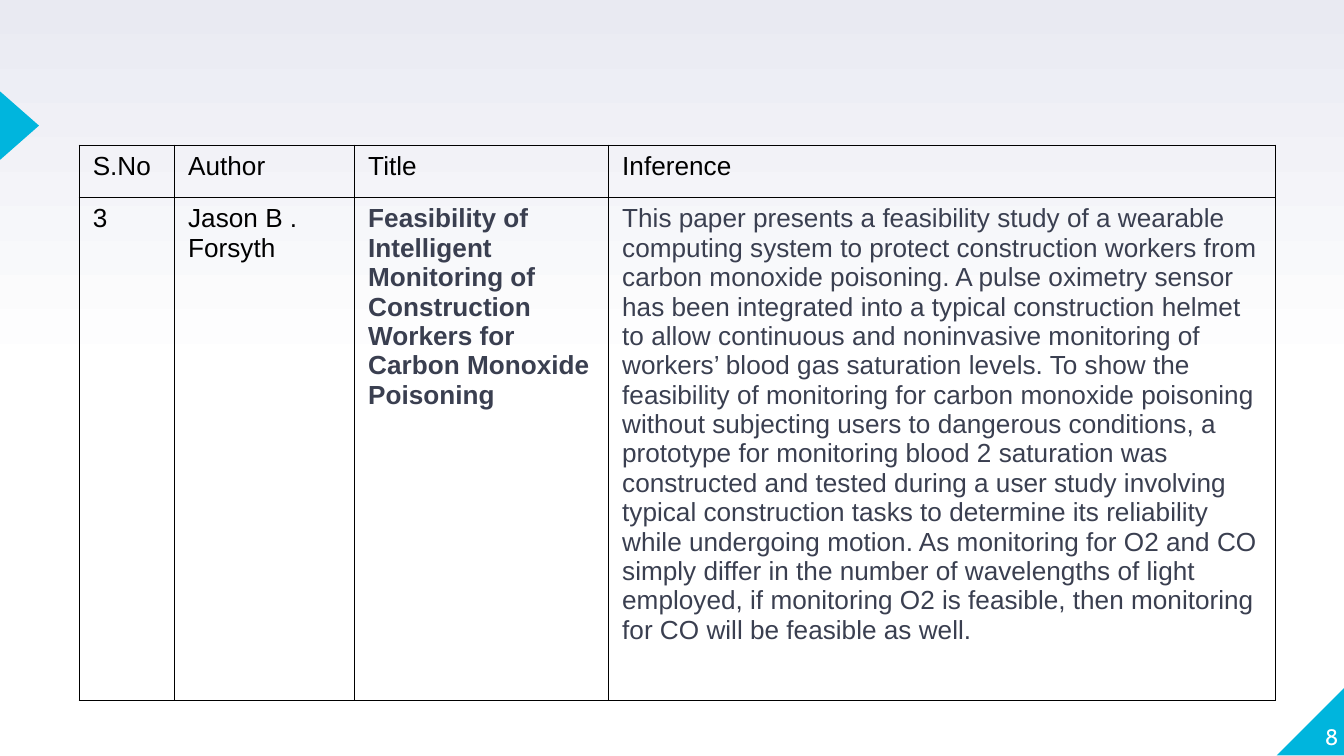
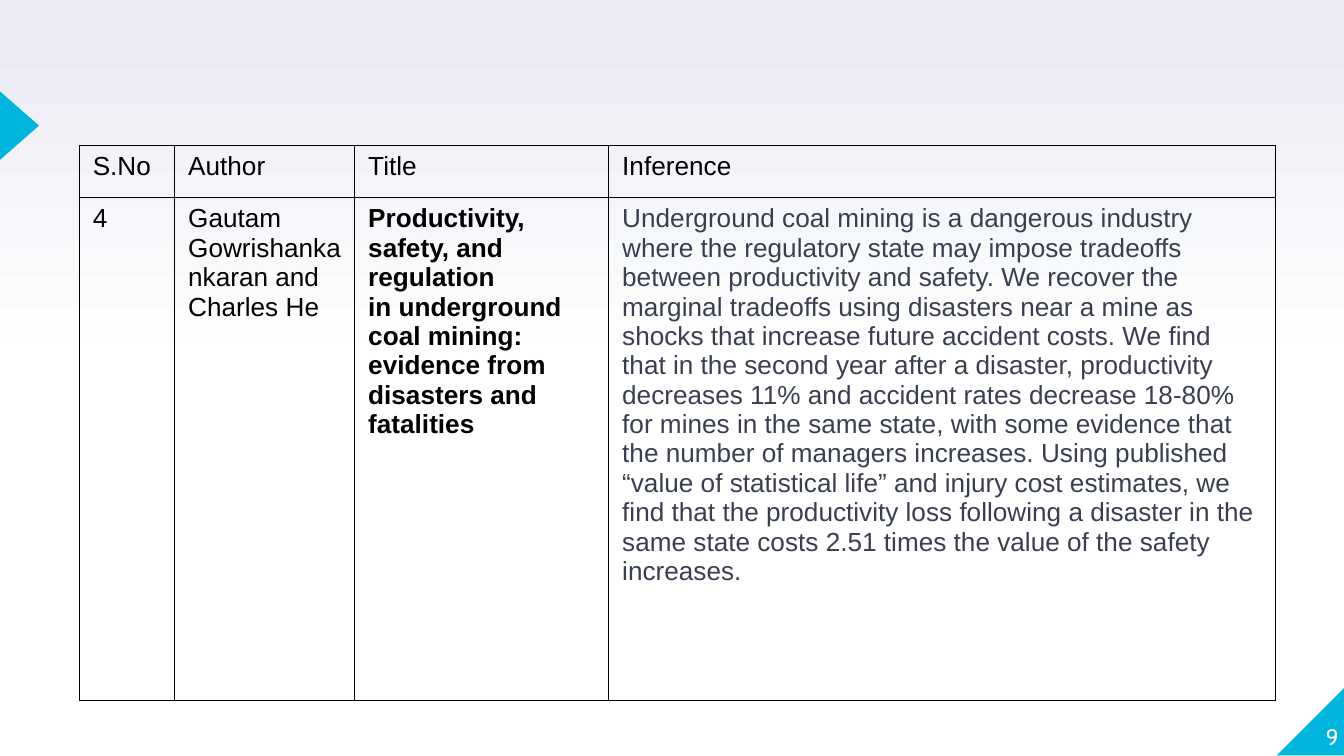
from copy import deepcopy

from lxml.etree import SubElement
from pptx import Presentation
from pptx.dml.color import RGBColor
from pptx.enum.shapes import MSO_SHAPE as Preset
from pptx.enum.text import MSO_ANCHOR as Anchor, PP_ALIGN as Align
from pptx.oxml import parse_xml
from pptx.oxml.ns import nsdecls, qn
from pptx.util import Inches, Pt

BLACK = RGBColor(0x00, 0x00, 0x00)
WHITE = RGBColor(0xFF, 0xFF, 0xFF)
SLATE = RGBColor(0x3A, 0x3F, 0x50)
CYAN = RGBColor(0x00, 0xB5, 0xDD)
LAVENDER = RGBColor(0xE9, 0xEA, 0xF2)

PAGE_WIDTH = Inches(10)
PAGE_HEIGHT = PAGE_WIDTH * 9 // 16

BODY = {"name": "Arial", "size": Pt(14), "bold": False}
NUMBER = {"name": "Cabin", "size": Pt(12)}
BORDER_WIDTH = Pt(0.75)

HEADINGS = ["S.No", "Author", "Title", "Inference"]
COLUMN_WIDTHS = [0.71, 1.34, 1.89, 4.96]
ROW_HEIGHTS = [0.39, 3.74]

PAPERS = [
    {
        "page": 8,
        "cells": [
            "3",
            "Jason B . Forsyth",
            "Feasibility of Intelligent Monitoring of Construction Workers "
            "for Carbon Monoxide Poisoning",
            "This paper presents a feasibility study of a wearable computing system "
            "to protect construction workers from carbon monoxide poisoning. A pulse "
            "oximetry sensor has been integrated into a typical construction helmet to "
            "allow continuous and noninvasive monitoring of workers’ blood gas "
            "saturation levels. To show the feasibility of monitoring for carbon "
            "monoxide poisoning without subjecting users to dangerous conditions, a "
            "prototype for monitoring blood 2 saturation was constructed and tested "
            "during a user study involving typical construction tasks to determine its "
            "reliability while undergoing motion. As monitoring for O2 and CO simply "
            "differ in the number of wavelengths of light employed, if monitoring O2 "
            "is feasible, then monitoring for CO will be feasible as well.",
        ],
        "title_color": SLATE,
    },
    {
        "page": 9,
        "cells": [
            "4",
            "Gautam Gowrishankankaran and Charles He",
            "Productivity, safety, and regulation\nin underground coal mining:\n"
            "evidence from disasters and\nfatalities",
            "Underground coal mining is a dangerous industry where the regulatory "
            "state may impose tradeoffs between productivity and safety. We recover "
            "the marginal tradeoffs using disasters near a mine as shocks that "
            "increase future accident costs. We find that in the second year after a "
            "disaster, productivity decreases 11% and accident rates decrease 18-80% "
            "for mines in the same state, with some evidence that the number of "
            "managers increases. Using published “value of statistical life” and "
            "injury cost estimates, we find that the productivity loss following a "
            "disaster in the same state costs 2.51 times the value of the safety "
            "increases.",
        ],
        "title_color": BLACK,
    },
]


def set_all(target, values):
    for name, value in values.items():
        setattr(target, name, value)


def style_text(frame, font, color, **paragraph_format):
    for para in frame.paragraphs:
        set_all(para, paragraph_format)
        for span in para.runs:
            set_all(span.font, font)
            span.font.color.rgb = color


def paint_background(master):
    fill = master.background.fill
    fill.gradient()
    fill.gradient_angle = 90
    stops = master.element.find(".//" + qn("p:bg")).find(".//" + qn("a:gsLst"))
    stops.insert(1, deepcopy(stops[0]))
    for stop, position, color in zip(
        fill.gradient_stops, (0, 0.5, 1), (WHITE, WHITE, LAVENDER)
    ):
        stop.position = position
        stop.color.rgb = color


def add_triangle(page, preset, left, top, width, height, rotation=0):
    triangle = page.shapes.add_shape(
        preset, Inches(left), Inches(top), Inches(width), Inches(height)
    )
    triangle.shadow.inherit = False
    triangle.fill.solid()
    triangle.fill.fore_color.rgb = CYAN
    triangle.line.fill.background()
    triangle.rotation = rotation
    return triangle


def add_page_number(page, number):
    box = page.shapes.add_textbox(
        Inches(9.46), Inches(5.07), Inches(0.5), Inches(0.51)
    )
    frame = box.text_frame
    margins = dict.fromkeys(
        ("margin_left", "margin_top", "margin_right", "margin_bottom"), 0
    )
    set_all(frame, {"word_wrap": True, "vertical_anchor": Anchor.BOTTOM, **margins})
    frame.text = str(number)
    style_text(frame, NUMBER, WHITE, alignment=Align.RIGHT)


def add_decoration(page, number):
    corner = add_triangle(page, Preset.RIGHT_TRIANGLE, 9.5, 5.11, 0.51, 0.51)
    corner.element.spPr.find(qn("a:xfrm")).set("flipH", "1")
    add_triangle(page, Preset.ISOSCELES_TRIANGLE, -0.11, 0.79, 0.51, 0.29, 90)
    add_page_number(page, number)


def add_borders(cell):
    properties = cell._tc.get_or_add_tcPr()
    for index, side in enumerate("LRTB"):
        line = parse_xml(f'<a:ln{side} {nsdecls("a")} w="{BORDER_WIDTH}"/>')
        solid = SubElement(line, qn("a:solidFill"))
        SubElement(solid, qn("a:srgbClr"), val=str(BLACK))
        properties.insert(index, line)


def fill_cell(cell, text, color, bold=False):
    cell.text = text
    cell.fill.background()
    add_borders(cell)
    style_text(cell.text_frame, {**BODY, "bold": bold}, color)


def add_paper_table(page, paper):
    frame = page.shapes.add_table(
        len(ROW_HEIGHTS), len(HEADINGS),
        Inches(0.59), Inches(1.08),
        Inches(sum(COLUMN_WIDTHS)), Inches(sum(ROW_HEIGHTS)),
    )
    table = frame.table
    set_all(table, {"first_row": False, "horz_banding": False})
    for column, width in zip(table.columns, COLUMN_WIDTHS):
        column.width = Inches(width)
    for row, height in zip(table.rows, ROW_HEIGHTS):
        row.height = Inches(height)
    colors = [BLACK, BLACK, paper["title_color"], SLATE]
    for index, heading in enumerate(HEADINGS):
        fill_cell(table.cell(0, index), heading, BLACK)
        fill_cell(
            table.cell(1, index), paper["cells"][index], colors[index],
            bold=heading == "Title",
        )


def main():
    deck = Presentation()
    set_all(deck, {"slide_width": PAGE_WIDTH, "slide_height": PAGE_HEIGHT})
    paint_background(deck.slide_master)
    blank = deck.slide_layouts.get_by_name("Blank")
    for paper in PAPERS:
        page = deck.slides.add_slide(blank)
        add_decoration(page, paper["page"])
        add_paper_table(page, paper)
    deck.save("out.pptx")


if __name__ == "__main__":
    main()
